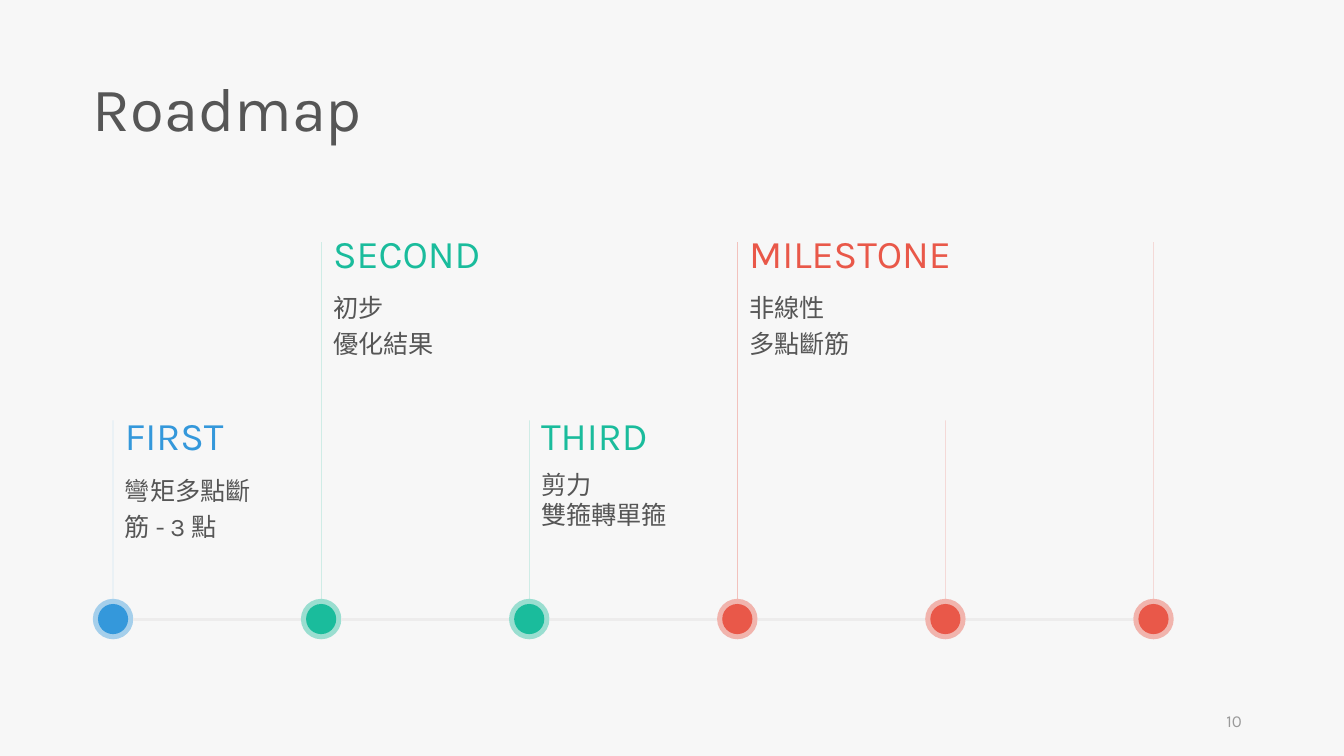
import pptx
import pptx.util
import pptx.dml.color
import pptx.enum.shapes
import pptx.enum.text
import pptx.oxml.ns
import pptx.oxml.xmlchemy

Cm = pptx.util.Cm
Pt = pptx.util.Pt
ALIGN = pptx.enum.text.PP_ALIGN
ANCHOR = pptx.enum.text.MSO_ANCHOR

HUES = {
    "back": "F7F7F7", "text": "565656", "page": "9A9A9A", "axis": "EDECEC",
    "blue": "3498DB", "green": "1ABC9C", "red": "E95849",
}
LEVELS = {"low": (10.59, 10.24), "high": (6.1, 5.64)}
STEPS = [
    ("blue", "low", "FIRST", ["彎矩多點斷筋 - 3 點"], 4.7, 1.2),
    ("green", "high", "SECOND", ["初步", "優化結果"], 4.7, 1.2),
    ("green", "low", "THIRD", ["剪力", "雙箍轉單箍"], 4.7, 1.0),
    ("red", "high", "MILESTONE", ["非線性", "多點斷筋"], 6.78, 1.2),
    ("red", "low", None, [], 0, 1.0),
    ("red", "high", None, [], 0, 1.0),
]
HALO, CORE = 1.02, 0.76


def put(item, form):
    """Set each attribute of an item from a dict of values."""
    for name, value in form.items():
        setattr(item, name, value)


def rgb(hue):
    """Return the colour that a name stands for."""
    return pptx.dml.color.RGBColor.from_string(HUES[hue])


def fade(shape, share):
    """Give the solid colour of a shape or line an opacity in percent."""
    tint = shape._element.spPr.find(".//" + pptx.oxml.ns.qn("a:srgbClr"))
    alpha = pptx.oxml.xmlchemy.OxmlElement("a:alpha")
    alpha.set("val", str(share * 1000))
    tint.append(alpha)


def write(frame, lines, size, hue, left=0.3, space=1.0, align=ALIGN.LEFT, anchor=ANCHOR.TOP):
    """Fill a text frame with one paragraph for each line."""
    put(frame, {
        "word_wrap": True, "auto_size": pptx.enum.text.MSO_AUTO_SIZE.NONE,
        "vertical_anchor": anchor, "margin_left": Cm(left), "margin_right": Cm(0.25),
        "margin_top": Cm(0.13), "margin_bottom": Cm(0.13),
    })
    frame.text = "\n".join(lines)
    for para in frame.paragraphs:
        put(para, {"alignment": align, "line_spacing": space, "space_before": Pt(0)})
        for run in para.runs:
            put(run.font, {"name": "Karla", "size": Pt(size)})
            run.font.color.rgb = rgb(hue)


def label(slide, box, lines, **form):
    """Add a text box at the given left, top, width and height."""
    frame = slide.shapes.add_textbox(*map(Cm, box)).text_frame
    write(frame, lines, **form)


def rule(slide, ends, hue, width, share=100):
    """Draw a straight line between two points."""
    kind = pptx.enum.shapes.MSO_CONNECTOR.STRAIGHT
    line = slide.shapes.add_connector(kind, *map(Cm, ends))
    line.line.width = Pt(width)
    line.line.color.rgb = rgb(hue)
    fade(line, share)
    line._element.spPr.append(pptx.oxml.xmlchemy.OxmlElement("a:effectLst"))


def dot(slide, mid, axis, hue):
    """Draw a pale halo with a solid core, centred on a point."""
    group = slide.shapes.add_group_shape()
    for size, share in ((HALO, 42), (CORE, 100)):
        box = (mid - size / 2, axis - size / 2, size, size)
        disc = group.shapes.add_shape(pptx.enum.shapes.MSO_SHAPE.OVAL, *map(Cm, box))
        disc.shadow.inherit = False
        disc.line.fill.background()
        disc.fill.solid()
        disc.fill.fore_color.rgb = rgb(hue)
        fade(disc, share)


def track(slide, left, axis, width):
    """Draw the steps at equal gaps along a horizontal axis."""
    gap = (width - HALO) / (len(STEPS) - 1)
    for rank, (hue, level, name, lines, wide, space) in enumerate(STEPS):
        mid = left + HALO / 2 + rank * gap
        top, head = LEVELS[level]
        if rank:
            rule(slide, (mid - gap + HALO / 2, axis, mid - HALO / 2, axis), "axis", 2.25)
        rule(slide, (mid, axis - HALO / 2, mid, top), hue, 0.25, 51)
        dot(slide, mid, axis, hue)
        if name:
            label(slide, (mid, head, wide, 1.45), [name], size=28, hue=hue)
            label(slide, (mid, head + 1.45, 4.7, 2), lines, size=18, hue="text", space=space)


def title(slide, box, text):
    """Move the title placeholder into its box and format it."""
    head = slide.shapes.title
    put(head, dict(zip(("left", "top", "width", "height"), map(Cm, box))))
    write(head.text_frame, [text], 44, "text", left=0, space=0.9)


def main():
    """Build and save the roadmap slide."""
    deck = pptx.Presentation()
    put(deck, {"slide_width": Cm(33.87), "slide_height": Cm(19.05)})
    slide = deck.slides.add_slide(deck.slide_layouts[5])
    slide.background.fill.solid()
    slide.background.fill.fore_color.rgb = rgb("back")
    title(slide, (2.34, 1.83, 12.45, 1.96), "Roadmap")
    track(slide, 2.34, 15.6, 27.24)
    label(slide, (23.93, 17.65, 7.62, 1.02), ["10"], size=12, hue="page",
          align=ALIGN.RIGHT, anchor=ANCHOR.MIDDLE)
    deck.save("out.pptx")


if __name__ == "__main__":
    main()
